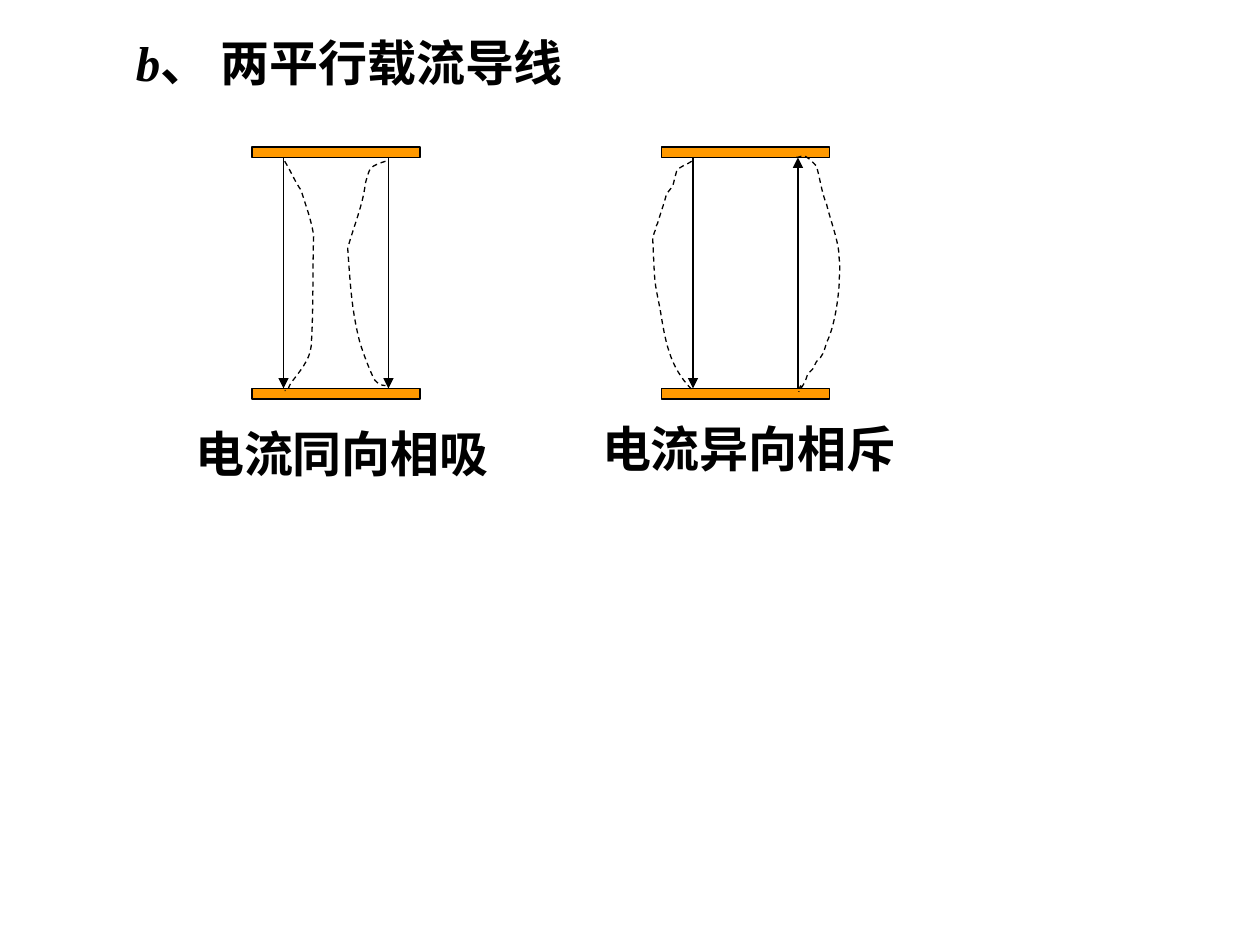
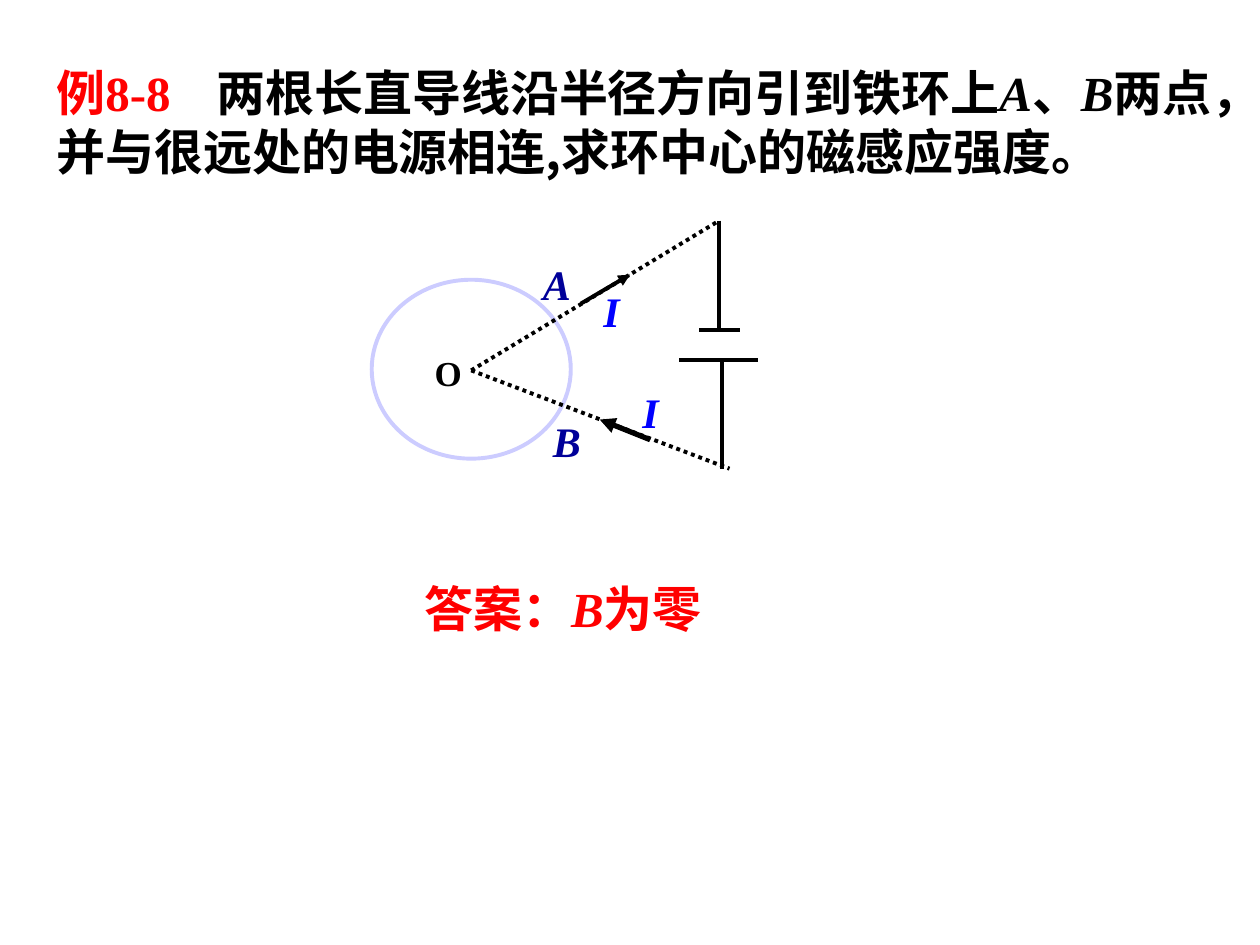
from dataclasses import dataclass

from lxml import etree
from pptx import Presentation
from pptx import util as u
from pptx.dml.color import RGBColor
from pptx.enum import dml, shapes, text
from pptx.oxml import ns

COLOURS = {
    "black": "000000",
    "red": "FF0000",
    "bar": "FF9900",
    "ring": "CCCCFF",
    "point": "000099",
    "current": "0000FF",
}
LATIN = "Times New Roman"
CHINESE = "Noto Sans CJK SC"
GRID = 1 / 12
BAR_WIDTH, BAR_HEIGHT = 16 * GRID, GRID
BAR_TOP, BAR_BOTTOM = 14 * GRID, 37 * GRID
WIRE_OFFSETS = (3 * GRID, 13 * GRID)
Point = tuple[float, float]


@dataclass(frozen=True)
class Words:
    wording: str
    colour: str = "black"
    font: str = LATIN
    italic: bool = False


@dataclass(frozen=True)
class TextBox:
    left: float
    top: float
    width: float
    height: float
    words: tuple[Words, ...]
    size: int = 28
    tab: float | None = None


@dataclass(frozen=True)
class Line:
    start: Point
    end: Point
    width: float = 2.25
    arrow: bool = False
    dash: dml.MSO_LINE | None = None


@dataclass(frozen=True)
class Curve:
    start: Point
    pieces: tuple[tuple[float, ...], ...]


@dataclass(frozen=True)
class WirePair:
    left: float
    currents_down: tuple[bool, bool]
    bent_wires: tuple[Curve, Curve]
    caption: TextBox


WIRE_PAIRS = (
    WirePair(
        2, (True, True),
        (
            Curve((2.26, 1.28), (
                (2.31, 1.36, 2.34, 1.44, 2.39, 1.51),
                (2.43, 1.64, 2.47, 1.74, 2.49, 1.87),
                (2.48, 2.16, 2.49, 2.46, 2.47, 2.75),
                (2.46, 2.86, 2.37, 2.96, 2.31, 3.04),
                (2.27, 3.11, 2.3, 3.1, 2.26, 3.1),
            )),
            Curve((3.06, 1.28), (
                (3.03, 1.29, 2.96, 1.31, 2.94, 1.34),
                (2.92, 1.37, 2.9, 1.46, 2.9, 1.46),
                (2.88, 1.63, 2.81, 1.79, 2.76, 1.97),
                (2.78, 2.24, 2.79, 2.47, 2.86, 2.73),
                (2.89, 2.82, 2.92, 2.9, 2.96, 2.99),
                (2.97, 3.01, 2.98, 3.03, 3, 3.04),
                (3.02, 3.06, 3.06, 3.06, 3.06, 3.06),
            )),
        ),
        TextBox(1.45, 3.31, 2.68, 0.57, (Words("电流同向相吸"),)),
    ),
    WirePair(
        5.25, (True, False),
        (
            Curve((5.49, 1.28), (
                (5.45, 1.31, 5.39, 1.32, 5.37, 1.36),
                (5.33, 1.5, 5.36, 1.45, 5.29, 1.54),
                (5.27, 1.62, 5.24, 1.7, 5.22, 1.77),
                (5.21, 1.79, 5.2, 1.81, 5.2, 1.83),
                (5.19, 1.85, 5.18, 1.89, 5.18, 1.89),
                (5.2, 2.3, 5.19, 2.2, 5.24, 2.46),
                (5.28, 2.7, 5.31, 2.91, 5.49, 3.09),
            )),
            Curve((6.32, 1.25), (
                (6.35, 1.25, 6.37, 1.23, 6.39, 1.24),
                (6.43, 1.26, 6.48, 1.32, 6.48, 1.32),
                (6.51, 1.42, 6.52, 1.53, 6.56, 1.62),
                (6.59, 1.75, 6.66, 1.92, 6.66, 2.05),
                (6.67, 2.12, 6.66, 2.19, 6.66, 2.26),
                (6.65, 2.4, 6.62, 2.6, 6.56, 2.72),
                (6.54, 2.79, 6.53, 2.83, 6.48, 2.87),
                (6.47, 2.89, 6.46, 2.91, 6.45, 2.93),
                (6.44, 2.95, 6.42, 2.95, 6.41, 2.97),
                (6.4, 2.99, 6.4, 3.01, 6.39, 3.03),
                (6.29, 3.2, 6.39, 2.97, 6.34, 3.11),
            )),
        ),
        TextBox(4.68, 3.27, 2.84, 0.57, (Words("电流异向相斥"),)),
    ),
)

HEADING = TextBox(0.98, 0.21, 4.92, 0.57, (
    Words("b", italic=True),
    Words("、 两平行载流导线"),
))

CENTRE = (3.74, 2.94)
CIRCUIT_LINES = (
    Line(CENTRE, (5.71, 1.75), dash=dml.MSO_LINE.ROUND_DOT),
    Line(CENTRE, (5.79, 3.72), dash=dml.MSO_LINE.ROUND_DOT),
    Line((5.71, 1.75), (5.71, 2.62)),
    Line((5.73, 2.86), (5.73, 3.72)),
    Line((5.55, 2.62), (5.87, 2.62)),
    Line((5.39, 2.86), (6.02, 2.86)),
    Line((5.16, 3.49), (4.76, 3.33), width=3, arrow=True),
    Line((4.61, 2.41), (5, 2.18), arrow=True),
)

QUESTION = TextBox(0.35, 0.45, 9.45, 1.04, (
    Words("例", "red", CHINESE),
    Words("8-8\t", "red"),
    Words("两根长直导线沿半径方向引到铁环上", font=CHINESE),
    Words("A", italic=True),
    Words("、"),
    Words("B", italic=True),
    Words("两点，并与很远处的电源相连,求环中心的磁感应强度。", font=CHINESE),
), tab=1.27)

CIRCUIT_LABELS = (
    TextBox(3.35, 2.74, 0.55, 0.44, (Words("O"),), 20),
    TextBox(4.21, 2, 0.71, 0.5, (Words("A", "point", italic=True),), 24),
    TextBox(4.29, 3.25, 0.79, 0.5, (Words("B", "point", italic=True),), 24),
    TextBox(4.69, 2.22, 0.63, 0.5, (Words("I", "current", italic=True),), 24),
    TextBox(5, 3.02, 0.63, 0.5, (Words("I", "current", italic=True),), 24),
)

ANSWER = TextBox(3.27, 4.54, 2.6, 0.57, (
    Words("答案：", "red", CHINESE),
    Words("B", "red", italic=True),
    Words("为零", "red", CHINESE),
))


def colour(name: str) -> RGBColor:
    return RGBColor.from_string(COLOURS[name])


def style_line(line, name: str, width: float, dash: dml.MSO_LINE | None = None) -> None:
    line.color.rgb = colour(name)
    line.width = u.Pt(width)
    if dash is not None:
        line.dash_style = dash


def draw_text(canvas, box: TextBox) -> None:
    shape = canvas.shapes.add_textbox(
        *map(u.Inches, (box.left, box.top, box.width, box.height)))
    frame = shape.text_frame
    frame.word_wrap = True
    frame.auto_size = text.MSO_AUTO_SIZE.SHAPE_TO_FIT_TEXT
    paragraph = frame.paragraphs[0]
    if box.tab is not None:
        properties = etree.SubElement(shape.element.find(".//" + ns.qn("a:p")), ns.qn("a:pPr"))
        tabs = etree.SubElement(properties, ns.qn("a:tabLst"))
        etree.SubElement(tabs, ns.qn("a:tab"), pos=str(u.Inches(box.tab)), algn="l")
    for words in box.words:
        run = paragraph.add_run()
        run.text = words.wording
        font = run.font
        font.name = words.font
        font.size = u.Pt(box.size)
        font.bold = True
        font.italic = words.italic
        font.color.rgb = colour(words.colour)
    for properties in shape.element.iter(ns.qn("a:rPr")):
        etree.SubElement(properties, ns.qn("a:ea"), typeface=CHINESE)


def draw_line(canvas, line: Line) -> None:
    connector = canvas.shapes.add_connector(
        shapes.MSO_CONNECTOR.STRAIGHT, *map(u.Inches, line.start + line.end))
    style_line(connector.line, "black", line.width, line.dash)
    properties = connector.element.spPr
    if line.arrow:
        etree.SubElement(properties.find(ns.qn("a:ln")), ns.qn("a:tailEnd"), type="triangle")
    etree.SubElement(properties, ns.qn("a:effectLst"))


def draw_curve(canvas, curve: Curve) -> None:
    builder = canvas.shapes.build_freeform(*map(u.Inches, curve.start))
    builder.add_line_segments(
        [(u.Inches(x), u.Inches(y))
         for piece in curve.pieces for x, y in zip(piece[::2], piece[1::2])],
        close=False)
    shape = builder.convert_to_shape()
    segments = list(shape.element.iter(ns.qn("a:lnTo")))
    for first, second, third in zip(segments[::3], segments[1::3], segments[2::3]):
        first.tag
        bezier = etree.Element(ns.qn("a:cubicBezTo"))
        first.addprevious(bezier)
        for segment in (first, second, third):
            bezier.append(segment[0])
            segment.getparent().remove(segment)
    shape.shadow.inherit = False
    shape.fill.background()
    style_line(shape.line, "black", 0.75, dml.MSO_LINE.DASH)


def draw_bar(canvas, left: float, top: float) -> None:
    shape = canvas.shapes.add_shape(
        shapes.MSO_SHAPE.RECTANGLE, *map(u.Inches, (left, top, BAR_WIDTH, BAR_HEIGHT)))
    shape.shadow.inherit = False
    shape.fill.solid()
    shape.fill.fore_color.rgb = colour("bar")
    style_line(shape.line, "black", 0.75)


def draw_wire_pair(canvas, pair: WirePair) -> None:
    for top in (BAR_TOP, BAR_BOTTOM):
        draw_bar(canvas, pair.left, top)
    for offset, down in zip(WIRE_OFFSETS, pair.currents_down):
        upper = (pair.left + offset, BAR_TOP + BAR_HEIGHT)
        lower = (pair.left + offset, BAR_BOTTOM)
        start, end = (upper, lower) if down else (lower, upper)
        draw_line(canvas, Line(start, end, 0.75, arrow=True))
    for bent_wire in pair.bent_wires:
        draw_curve(canvas, bent_wire)
    draw_text(canvas, pair.caption)


def draw_ring(canvas) -> None:
    shape = canvas.shapes.add_shape(
        shapes.MSO_SHAPE.OVAL, *map(u.Inches, (2.95, 2.22, 1.58, 1.42)))
    shape.shadow.inherit = False
    shape.fill.background()
    style_line(shape.line, "ring", 2.25)


def build_parallel_wires(slide) -> None:
    draw_text(slide, HEADING)
    for pair in WIRE_PAIRS:
        draw_wire_pair(slide.shapes.add_group_shape(), pair)


def build_ring_example(slide) -> None:
    draw_text(slide, QUESTION)
    circuit = slide.shapes.add_group_shape()
    draw_ring(circuit)
    for line in CIRCUIT_LINES:
        draw_line(circuit, line)
    for label in CIRCUIT_LABELS:
        draw_text(circuit, label)
    draw_text(slide, ANSWER)


def main() -> None:
    presentation = Presentation()
    presentation.slide_width = u.Inches(10)
    presentation.slide_height = u.Inches(7.5)
    for build in (build_parallel_wires, build_ring_example):
        build(presentation.slides.add_slide(presentation.slide_layouts[6]))
    presentation.save("out.pptx")


if __name__ == "__main__":
    main()
